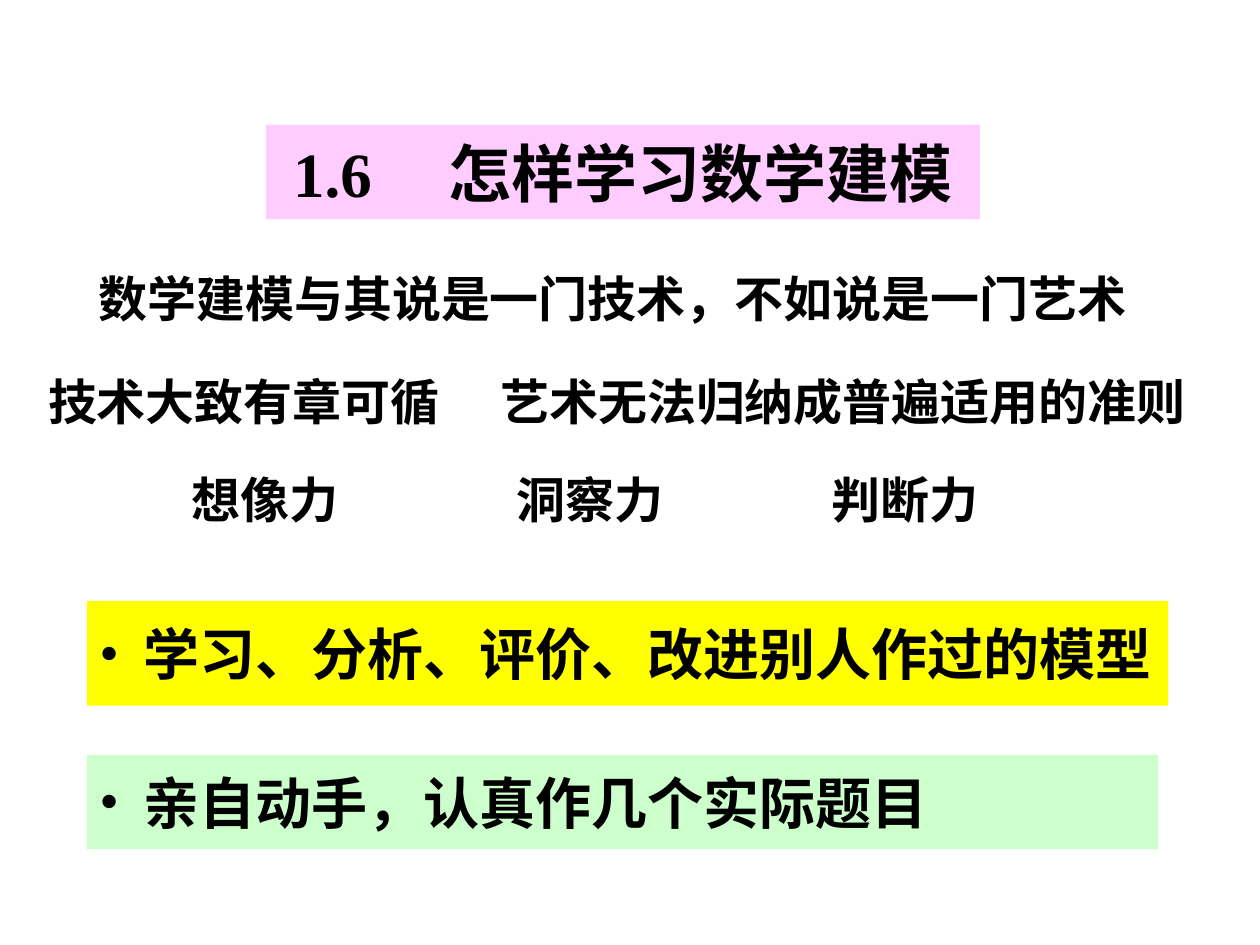
from lxml.etree import SubElement
from pptx import Presentation
from pptx.dml.color import RGBColor
from pptx.enum.shapes import MSO_SHAPE
from pptx.enum.text import MSO_ANCHOR, MSO_AUTO_SIZE, PP_ALIGN
from pptx.oxml.ns import qn
from pptx.util import Pt

LATIN = "Times New Roman"
CHINESE = "Noto Sans CJK SC"


def color(value):
    return RGBColor.from_string(value)


def fill_box(shape, value):
    shape.fill.solid()
    shape.fill.fore_color.rgb = color(value)


def place(shape, box):
    shape.left, shape.top, shape.width, shape.height = map(Pt, box)


def add_bullet(para, indent):
    properties = para._p.get_or_add_pPr()
    properties.set("marL", str(Pt(indent)))
    properties.set("indent", str(-Pt(indent)))
    bullet_color = SubElement(properties, qn("a:buClr"))
    SubElement(bullet_color, qn("a:srgbClr"), val="000000")
    SubElement(properties, qn("a:buFont"), typeface=LATIN)
    SubElement(properties, qn("a:buChar"), char="•")


def add_tab(para, position):
    tabs = SubElement(para._p.get_or_add_pPr(), qn("a:tabLst"))
    SubElement(tabs, qn("a:tab"), pos=str(Pt(position)), algn="l")


def write(shape, *spans, size=28, align=PP_ALIGN.CENTER, wrap=False,
          inset=7.2, bullet=None, tab=None):
    frame = shape.text_frame
    frame.auto_size = MSO_AUTO_SIZE.NONE
    frame.word_wrap = wrap
    frame.vertical_anchor = MSO_ANCHOR.MIDDLE
    frame.margin_left = Pt(inset)
    frame.margin_right = Pt(0 if wrap else inset)
    frame.margin_top = frame.margin_bottom = Pt(3.6)
    para = frame.paragraphs[0]
    para.alignment = align
    if bullet is not None:
        add_bullet(para, bullet)
    if tab is not None:
        add_tab(para, tab)
    for text, font_name in spans:
        span = para.add_run()
        span.text = text
        span.font.size = Pt(size)
        span.font.bold = True
        span.font.name = font_name
        span.font.color.rgb = color("000000")
        SubElement(span._r.get_or_add_rPr(), qn("a:ea"), typeface=CHINESE)


def add_title(page, box):
    title = page.shapes.title
    place(title, box)
    fill_box(title, "FFCCFF")
    write(title, ("1.6\t", LATIN), ("怎样学习数学建模", CHINESE),
          size=36, align=PP_ALIGN.LEFT, wrap=True, inset=15.5, tab=89)


def add_statement(page, box, text):
    shape = page.shapes.add_textbox(*map(Pt, box))
    write(shape, (text, LATIN))


def add_qualities(page, box):
    left, top, width, height = box
    for offset, text in ((0, "想像力"), (185.7, "洞察力"), (365.7, "判断力")):
        add_statement(page, (left + offset, top, width, height), text)


def add_advice(page, box, text, fill):
    shape = page.shapes.add_shape(MSO_SHAPE.RECTANGLE, *map(Pt, box))
    shape.shadow.inherit = False
    shape.line.fill.background()
    fill_box(shape, fill)
    write(shape, (text, CHINESE), size=32, align=PP_ALIGN.LEFT,
          wrap=True, bullet=25)


def main():
    deck = Presentation()
    deck.slide_width, deck.slide_height = Pt(720), Pt(540)
    page = deck.slides.add_slide(deck.slide_layouts[5])
    add_title(page, (152, 71.3, 408, 54))
    add_statement(page, (43.9, 143.3, 612, 54),
                  "数学建模与其说是一门技术，不如说是一门艺术")
    add_statement(page, (19.4, 202.3, 239.8, 54), "技术大致有章可循")
    add_statement(page, (283.7, 202.3, 396, 54),
                  "艺术无法归纳成普遍适用的准则")
    add_qualities(page, (85.7, 264.2, 131.8, 41.8))
    add_advice(page, (49.7, 343.4, 617.8, 59.8),
               "学习、分析、评价、改进别人作过的模型", "FFFF00")
    add_advice(page, (49.7, 431.3, 612, 54),
               "亲自动手，认真作几个实际题目", "CCFFCC")
    deck.save("out.pptx")


if __name__ == "__main__":
    main()
